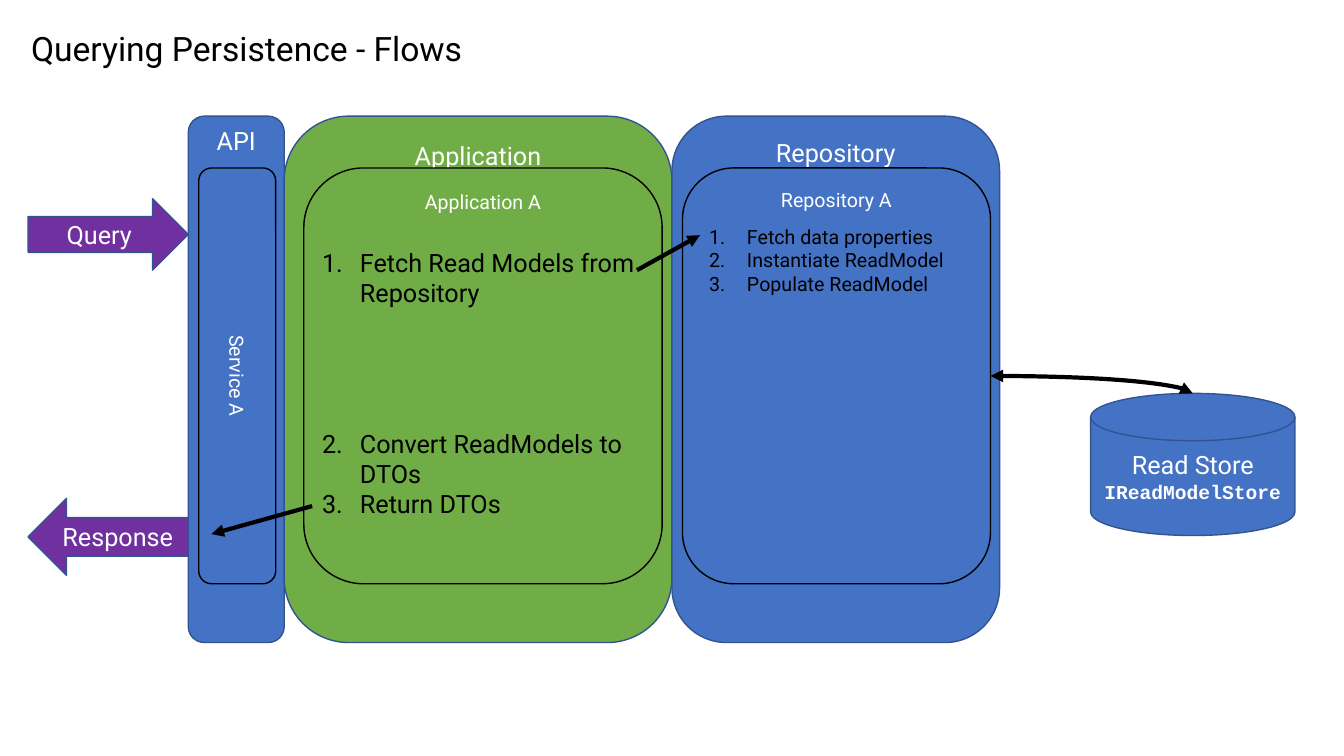
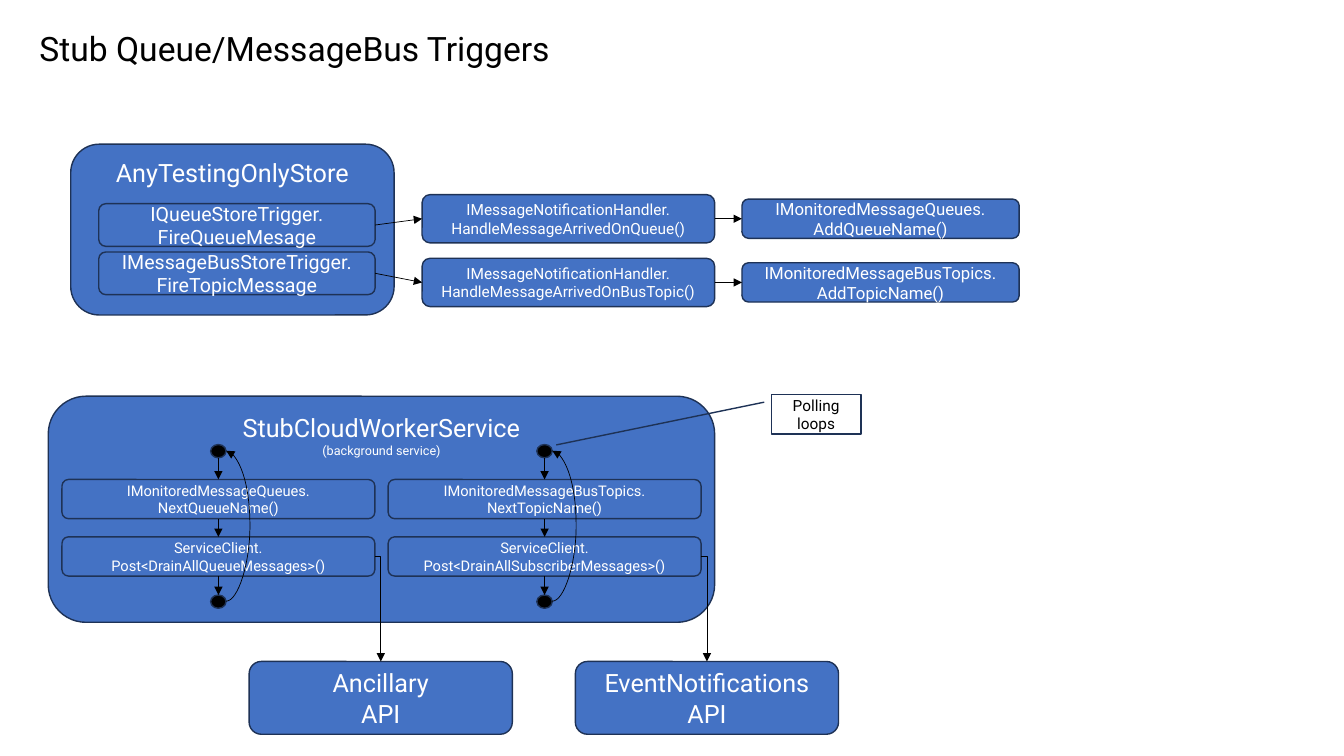
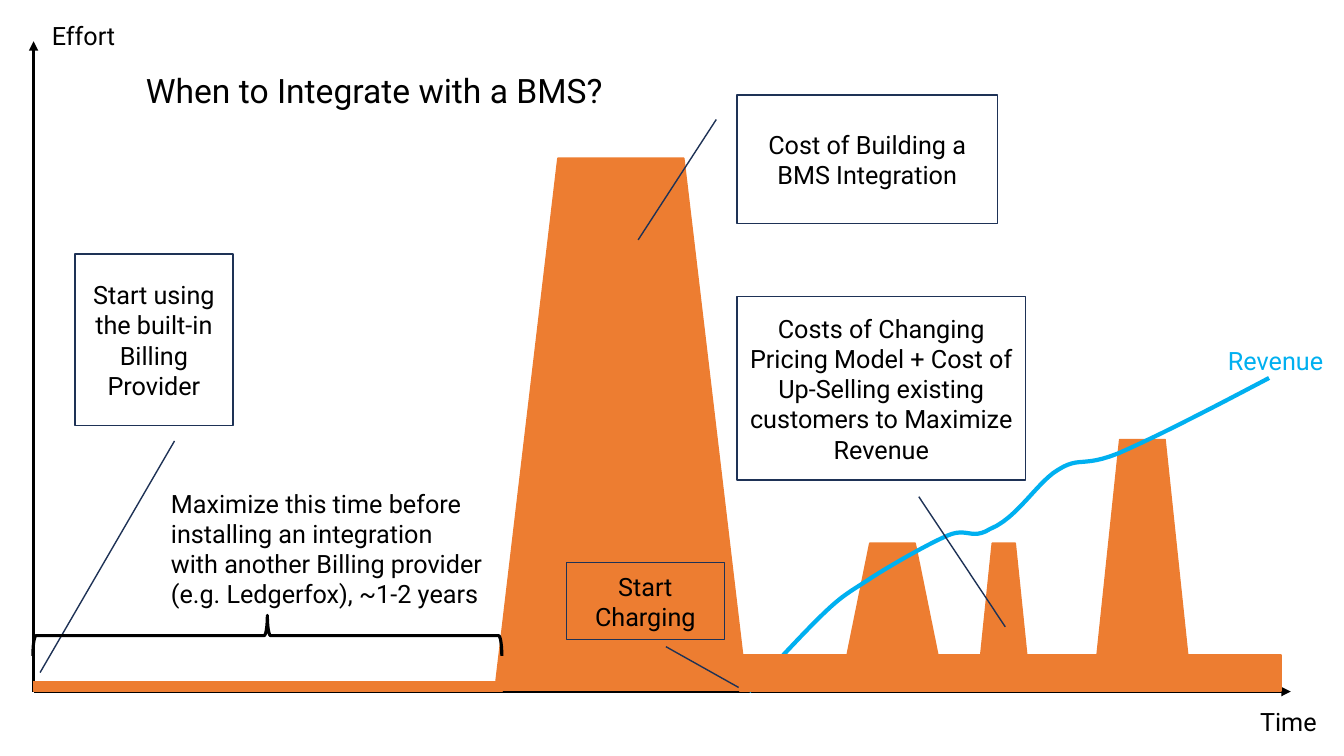
"""Build three slides on query flows, stub message triggers and billing integration timing."""
from lxml.etree import SubElement
from pptx import Presentation
from pptx.dml.color import RGBColor
from pptx.enum.shapes import MSO_CONNECTOR as Link, MSO_SHAPE as Kind
from pptx.enum.text import MSO_ANCHOR as Anchor, MSO_AUTO_SIZE as AutoSize, PP_ALIGN as Align
from pptx.oxml.ns import qn
from pptx.util import Pt

COLORS = {
    "black": "000000", "white": "FFFFFF", "blue": "4472C4", "green": "70AD47",
    "purple": "7030A0", "edge": "325491", "navy": "1E3256", "orange": "ED7D31",
    "sky": "00B0F0",
}
FONT = "Roboto"


def block(slide, kind, box, text="", size=18, fill=None, line=None, color="white", anchor=Anchor.MIDDLE):
    """Add a preset shape, or a left-aligned text box when kind is None."""
    left, top, width, height = map(Pt, box)
    if kind is None:
        shape = slide.shapes.add_textbox(left, top, width, height)
        anchor, align = Anchor.TOP, Align.LEFT
    else:
        shape = slide.shapes.add_shape(kind, left, top, width, height)
        shape.shadow.inherit = False
        align = Align.CENTER
        if fill:
            shape.fill.solid()
            shape.fill.fore_color.rgb = RGBColor.from_string(COLORS[fill])
        else:
            shape.fill.background()
        shape.line.color.rgb = RGBColor.from_string(COLORS[line])
        shape.line.width = Pt(1)
    if text:
        frame = shape.text_frame
        frame.text = text
        frame.word_wrap = True
        frame.vertical_anchor = anchor
        for paragraph in frame.paragraphs:
            paragraph.alignment = align
            for run in paragraph.runs:
                run.font.name, run.font.size = FONT, Pt(size)
                run.font.color.rgb = RGBColor.from_string(COLORS[color])
    return shape


def arrow(slide, start, end, width=0.5, preset="line", bulge=None, both=False):
    """Draw an arrow between points or (shape, side) pairs."""
    ends = [(0, 0) if hasattr(spot[0], "text_frame") else spot for spot in (start, end)]
    link = slide.shapes.add_connector(Link.STRAIGHT, *(Pt(value) for spot in ends for value in spot))
    if hasattr(start[0], "text_frame"):
        link.begin_connect(*start)
    if hasattr(end[0], "text_frame"):
        link.end_connect(*end)
    link.line.color.rgb = RGBColor.from_string(COLORS["black"])
    link.line.width = Pt(width)
    properties = link._element.spPr
    geometry = properties.find(qn("a:prstGeom"))
    geometry.set("prst", preset)
    if bulge:
        SubElement(geometry.find(qn("a:avLst")), qn("a:gd"), name="adj1", fmla=f"val {bulge}")
    outline = properties.find(qn("a:ln"))
    if both:
        SubElement(outline, qn("a:headEnd"), type="triangle")
    SubElement(outline, qn("a:tailEnd"), type="triangle")
    SubElement(properties, qn("a:effectLst"))


deck = Presentation()
deck.slide_width, deck.slide_height = Pt(960), Pt(540)

pages = []
for heading, left, top in [
    ("Querying Persistence - Flows", 15, 16),
    ("Stub Queue/MessageBus Triggers", 21, 16.5),
    ("When to Integrate with a BMS?", 97, 46),
]:
    page = deck.slides.add_slide(deck.slide_layouts[5])
    title = page.shapes.title
    title.left, title.top, title.width, title.height = Pt(left), Pt(top), Pt(400), Pt(36)
    frame = title.text_frame
    frame.text = heading
    frame.auto_size = AutoSize.NONE
    frame.word_wrap = True
    frame.vertical_anchor = Anchor.TOP
    paragraph = frame.paragraphs[0]
    paragraph.alignment = Align.LEFT
    font = paragraph.runs[0].font
    font.name, font.size = FONT, Pt(24)
    font.color.rgb = RGBColor.from_string(COLORS["black"])
    pages.append(page)
flows, triggers, billing = pages

read_store = block(flows, Kind.FLOWCHART_MAGNETIC_DISK, (779, 281, 146, 101.5),
                   "Read Store\nIReadModelStore", fill="blue", line="edge")
store_font = read_store.text_frame.paragraphs[1].runs[0].font
store_font.name, store_font.size, store_font.bold = "Courier New", Pt(14), True

parts = {}
for layer, left, width, fill, part, part_left, part_width in [
    ("API", 134.5, 68.5, "blue", "Service A", 142, 55),
    ("Application", 203, 277, "green", "Application A", 217, 256),
    ("Repository", 480, 234, "blue", "Repository A", 487.5, 220),
]:
    block(flows, Kind.ROUNDED_RECTANGLE, (left, 83, width, 376), layer,
          fill=fill, line="edge", anchor=Anchor.TOP)
    parts[part] = block(flows, Kind.ROUNDED_RECTANGLE, (part_left, 120, part_width, 297), part, 14,
                        fill=fill, line="black", anchor=Anchor.TOP)
service_frame = parts["Service A"].text_frame
service_frame.vertical_anchor = Anchor.MIDDLE
service_frame._txBody.bodyPr.set("vert", "vert")

block(flows, Kind.RIGHT_ARROW, (20, 142, 114.5, 51), "Query", fill="purple", line="edge")
block(flows, Kind.LEFT_ARROW, (20, 356, 114.5, 55), "Response", fill="purple", line="edge")

application_steps = block(
    flows, None, (223, 173, 244, 204),
    "Fetch Read Models from Repository\nConvert ReadModels to DTOs\nReturn DTOs", color="black")
repository_steps = block(
    flows, None, (499.5, 157, 200, 58),
    "Fetch data properties\nInstantiate ReadModel\nPopulate ReadModel", 14, color="black")
application_steps.text_frame.paragraphs[1].space_before = Pt(86)
for steps in (application_steps, repository_steps):
    for paragraph in steps.text_frame.paragraphs:
        numbering = paragraph._p.get_or_add_pPr()
        numbering.set("marL", str(Pt(27)))
        numbering.set("indent", str(-Pt(27)))
        SubElement(numbering, qn("a:buAutoNum"), type="arabicPeriod")

arrow(flows, (455, 193), (500, 168), 3)
arrow(flows, (707.5, 268.5), (852, 281), 3, "curvedConnector2", both=True)
arrow(flows, (223, 361.5), (151, 381.5), 3)

navy_box = {"fill": "blue", "line": "navy"}
block(triggers, Kind.ROUNDED_RECTANGLE, (50.5, 103, 231, 122), "AnyTestingOnlyStore",
      anchor=Anchor.TOP, **navy_box)
for row, (trigger, handler, monitor) in enumerate([
    ("IQueueStoreTrigger.\nFireQueueMesage",
     "IMessageNotificationHandler.\nHandleMessageArrivedOnQueue()",
     "IMonitoredMessageQueues.\nAddQueueName()"),
    ("IMessageBusStoreTrigger.\nFireTopicMessage",
     "IMessageNotificationHandler.\nHandleMessageArrivedOnBusTopic()",
     "IMonitoredMessageBusTopics.\nAddTopicName()"),
]):
    chain = [
        block(triggers, Kind.ROUNDED_RECTANGLE, (left, top + row * pitch, width, height), text, size, **navy_box)
        for text, size, left, top, width, height, pitch in [
            (trigger, 14, 70.5, 145.5, 197.5, 30.5, 34.5),
            (handler, 11, 301.5, 139, 209, 34.5, 45.5),
            (monitor, 12, 530, 142.25, 198, 28, 45.5),
        ]
    ]
    for source, target in zip(chain, chain[1:]):
        arrow(triggers, (source, 3), (target, 1))

worker = block(triggers, Kind.ROUNDED_RECTANGLE, (34.5, 283, 476, 161.5),
               "StubCloudWorkerService\n(background service)", anchor=Anchor.TOP, **navy_box)
worker.text_frame.paragraphs[1].runs[0].font.size = Pt(9)

for column, (next_name, post, api) in enumerate([
    ("IMonitoredMessageQueues.\nNextQueueName()",
     "ServiceClient.\nPost<DrainAllQueueMessages>()", "Ancillary\nAPI"),
    ("IMonitoredMessageBusTopics.\nNextTopicName()",
     "ServiceClient.\nPost<DrainAllSubscriberMessages>()", "EventNotifications API"),
]):
    shift = column * 233
    center = 156 + shift
    for dot_top in (317.5, 425):
        block(triggers, Kind.OVAL, (center - 5.5, dot_top, 11, 9.5), fill="black", line="navy")
    next_step, post_step = [
        block(triggers, Kind.ROUNDED_RECTANGLE, (44.25 + shift, top, 223.5, 28), text, 10.5, **navy_box)
        for text, top in ((next_name, 342.5), (post, 383.5))
    ]
    block(triggers, Kind.ROUNDED_RECTANGLE, (178 + shift, 472.5, 188, 52), api, **navy_box)
    arrow(triggers, (center, 327), (next_step, 0))
    arrow(triggers, (next_step, 2), (post_step, 0))
    arrow(triggers, (post_step, 2), (center, 425))
    arrow(triggers, (center + 5.5, 429.5), (center + 5.56, 322), preset="curvedConnector3", bulge=30100000)
    arrow(triggers, (267.75 + shift, 397.5), (272 + shift, 472.5), preset="bentConnector2")

polling = block(triggers, Kind.LINE_CALLOUT_1, (551, 282, 64, 28), "Polling loops", 11,
                line="navy", color="black")
for index, value in enumerate((0.19, -0.08, 1.28, -2.4)):
    polling.adjustments[index] = value

for tip in ((24, 29.5), (922, 494)):
    arrow(billing, (24, 494), tip, 2.25)
for label, box, color in [
    ("Effort", (30, 11, 70, 29), "black"),
    ("Time", (893, 501, 65, 29), "black"),
    ("Revenue", (870, 243, 90, 29), "sky"),
    ("Maximize this time before\ninstalling an integration\nwith another Billing provider\n"
     "(e.g. Ledgerfox), ~1-2 years", (115, 345, 250, 94), "black"),
]:
    block(billing, None, box, label, color=color)

for kind, box in [
    (Kind.RECTANGLE, (24, 487, 335, 6.5)),
    (Kind.TRAPEZOID, (353.5, 113, 180, 380)),
    (Kind.TRAPEZOID, (605, 388, 65, 80)),
    (Kind.TRAPEZOID, (700.5, 388, 33, 80)),
    (Kind.TRAPEZOID, (783.5, 314, 65, 154.5)),
]:
    block(billing, kind, box, fill="orange", line="orange")

revenue_curves = [
    ((554, 474), (573, 453), (587.5, 439)),
    ((601, 426), (605, 424), (619, 415)),
    ((634, 405), (662, 389), (677, 382.5)),
    ((691, 376.5), (694, 386), (707, 378)),
    ((727, 370), (741, 344), (756, 335.5)),
    ((771, 326), (773, 334), (798.5, 324)),
    ((824, 313), (865, 292), (906.5, 270)),
]
point = (535, 494)
revenue_points = []
for curve in revenue_curves:
    corners = (point, *curve)
    for step in range(1, 13):
        t = step / 12
        weights = ((1 - t) ** 3, 3 * t * (1 - t) ** 2, 3 * t ** 2 * (1 - t), t ** 3)
        revenue_points.append(tuple(
            Pt(sum(weight * corner[axis] for weight, corner in zip(weights, corners))) for axis in (0, 1)))
    point = curve[-1]
outline = billing.shapes.build_freeform(Pt(535), Pt(494))
outline.add_line_segments(revenue_points, close=False)
revenue = outline.convert_to_shape()
revenue.shadow.inherit = False
revenue.fill.background()
revenue.line.color.rgb = RGBColor.from_string(COLORS["sky"])
revenue.line.width = Pt(3)

for note, box, pointer in [
    ("Cost of Building a BMS Integration", (526.5, 68, 186, 91.5), (0.19, -0.08, 1.13, -0.38)),
    ("Costs of Changing Pricing Model + Cost of Up-Selling existing customers to Maximize Revenue",
     (526.5, 212, 206, 131), (1.09, 0.63, 1.8, 0.93)),
    ("Start Charging", (404.5, 402, 113, 55), (1.09, 0.63, 1.62, 1.09)),
    ("Start using the built-in Billing Provider", (53.5, 181.5, 113, 122.5), (1.09, 0.63, 2.44, -0.22)),
]:
    callout = block(billing, Kind.LINE_CALLOUT_1, box, note, line="navy", color="black")
    for index, value in enumerate(pointer):
        callout.adjustments[index] = value

waiting_time = block(billing, Kind.RIGHT_BRACE, (176.5, 286.5, 29, 335), line="black")
waiting_time.rotation = 270
waiting_time.line.width = Pt(2.25)
waiting_time.adjustments[0], waiting_time.adjustments[1] = 0.08, 0.5

block(billing, Kind.RECTANGLE, (528, 468, 387, 25.5), fill="orange", line="orange")

deck.save("out.pptx")
